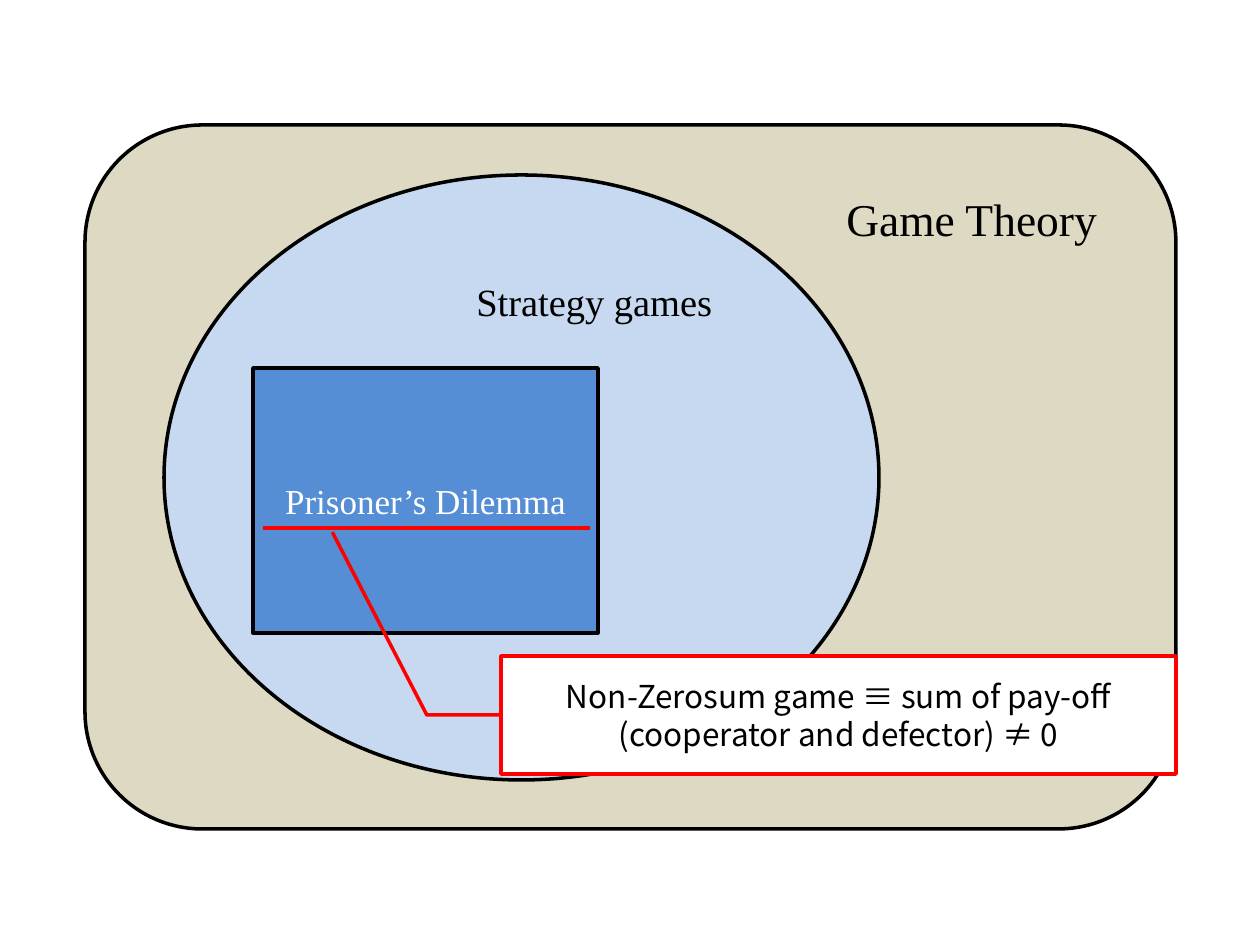
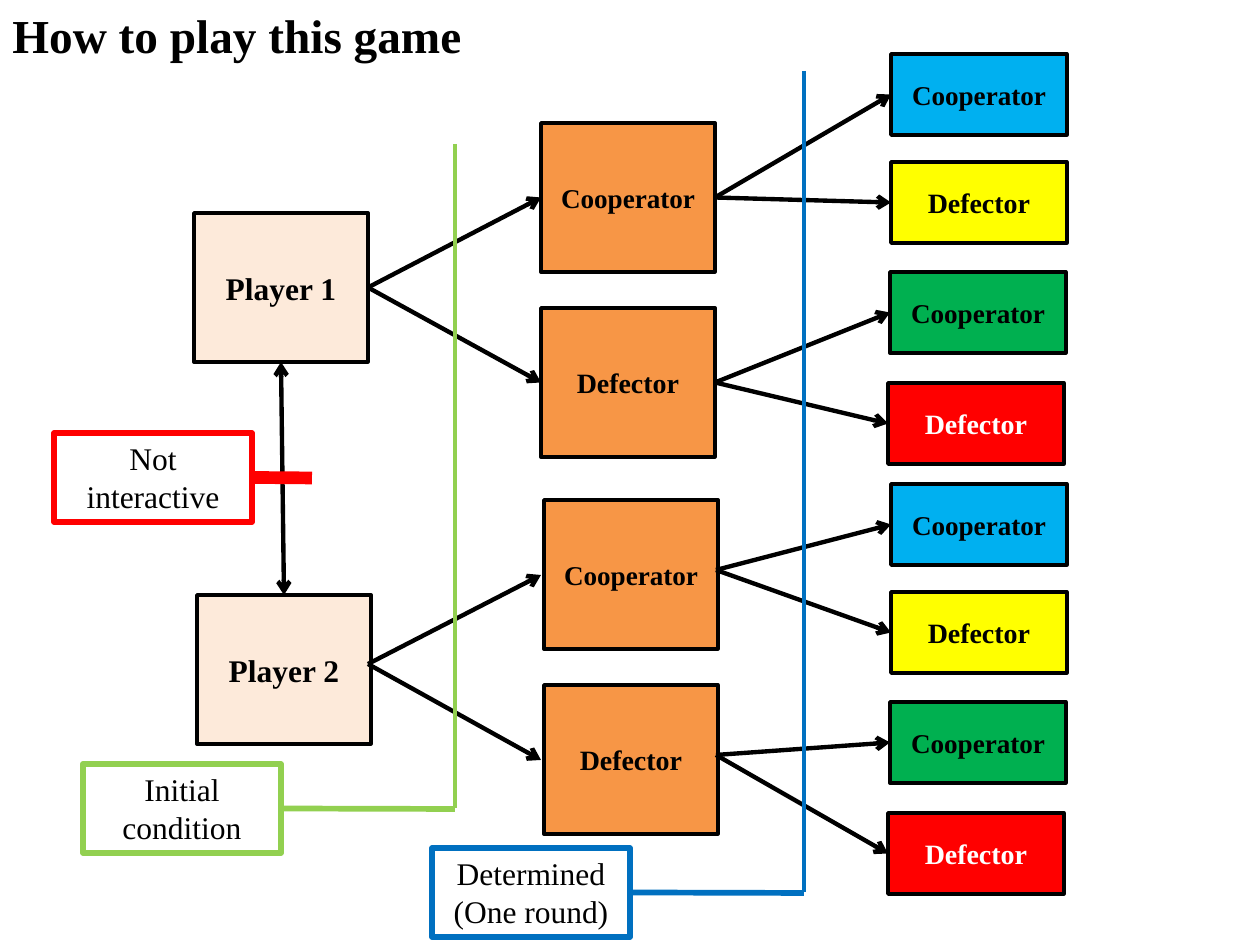
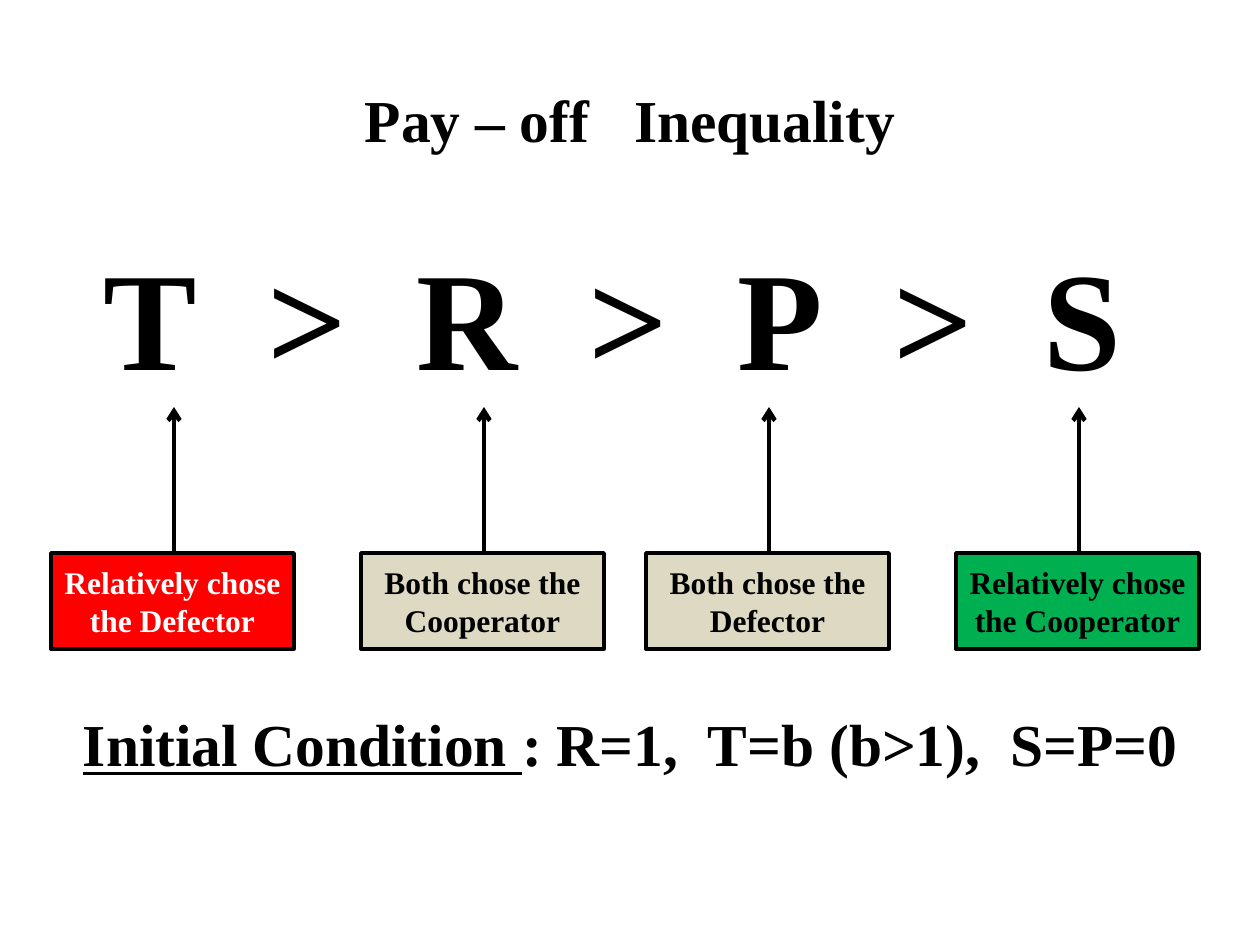
from lxml import etree
from pptx import Presentation
from pptx.dml.color import RGBColor
from pptx.enum import shapes, text
from pptx.oxml import ns
from pptx import util as u

PX = 914400 / 126
SERIF = "Times New Roman"
SANS = "Noto Sans CJK KR"
BLACK = RGBColor(0, 0, 0)
WHITE = RGBColor(255, 255, 255)
RED = RGBColor(255, 0, 0)
GREEN = RGBColor(0, 176, 80)
LIME = RGBColor(146, 208, 80)
SKY = RGBColor(0, 176, 240)
BLUE = RGBColor(0, 112, 192)
YELLOW = RGBColor(255, 255, 0)
ORANGE = RGBColor(247, 150, 70)
PEACH = RGBColor(253, 234, 218)
SAND = RGBColor(221, 217, 195)
PALE_BLUE = RGBColor(198, 217, 241)
MID_BLUE = RGBColor(85, 142, 213)
RECT = shapes.MSO_SHAPE.RECTANGLE
CENTER = text.PP_ALIGN.CENTER
LEFT = text.PP_ALIGN.LEFT


def box(slide, kind, at, label="", size=18, fill=None, edge=BLACK, width=2, ink=BLACK,
        bold=True, name=SERIF, align=CENTER, grow=False, gap=0):
    place = [round(n * PX) for n in at]
    if kind is None:
        shape = slide.shapes.add_textbox(*place)
    else:
        shape = slide.shapes.add_shape(kind, *place)
        shape.shadow.inherit = False
        shape.line.color.rgb = edge
        shape.line.width = u.Pt(width)
        if fill is None:
            shape.fill.background()
        else:
            shape.fill.solid()
            shape.fill.fore_color.rgb = fill
    if not label:
        return shape
    frame = shape.text_frame
    frame.word_wrap = True
    frame.vertical_anchor = text.MSO_ANCHOR.TOP if grow else text.MSO_ANCHOR.MIDDLE
    if grow:
        frame.auto_size = text.MSO_AUTO_SIZE.SHAPE_TO_FIT_TEXT
    frame.paragraphs[0].alignment = align
    for piece in label.split("|"):
        run = frame.paragraphs[0].add_run()
        run.text = piece
        for key, value in {"name": name, "size": u.Pt(size), "bold": bold}.items():
            setattr(run.font, key, value)
        run.font.color.rgb = ink
        if piece == " ":
            run.font._element.set("spc", str(gap))
    return shape


def link(slide, start, end, color=BLACK, width=2.5, arrows=("tailEnd",)):
    ends = [round(n * PX) for n in (*start, *end)]
    line = slide.shapes.add_connector(shapes.MSO_CONNECTOR.STRAIGHT, *ends)
    line.line.color.rgb = color
    line.line.width = u.Pt(width)
    properties = line._element.spPr
    for arrow in arrows:
        etree.SubElement(properties.find(ns.qn("a:ln")), ns.qn("a:" + arrow), type="arrow")
    etree.SubElement(properties, ns.qn("a:effectLst"))
    return line


deck = Presentation()
deck.slide_width = round(1260 * PX)
deck.slide_height = round(945 * PX)
theory, play, payoff = [deck.slides.add_slide(deck.slide_layouts[6]) for _ in range(3)]

box(theory, shapes.MSO_SHAPE.ROUNDED_RECTANGLE, (85, 125, 1091, 704), fill=SAND)
box(theory, shapes.MSO_SHAPE.OVAL, (164, 175, 715, 605), fill=PALE_BLUE)
box(theory, RECT, (253, 368, 345, 265), "Prisoner’s Dilemma", 20, MID_BLUE, ink=WHITE, bold=False)
box(theory, None, (464, 272, 369, 59), "Strategy games", 22, bold=False, align=LEFT, grow=True)
box(theory, None, (834, 185, 287, 68), "Game Theory", 26, bold=False, align=LEFT, grow=True)
link(theory, (263, 528), (590, 528), RED, arrows=())
nonzero = box(theory, shapes.MSO_SHAPE.LINE_CALLOUT_2, (501, 656, 675, 118),
              "Non-Zerosum game ≡ sum of pay-off (cooperator and defector) ≠ 0",
              fill=WHITE, edge=RED, bold=False, name=SANS)
for index, value in enumerate((0.5, 0, 0.5, -0.11, -1.05, -0.25)):
    nonzero.adjustments[index] = value

players = [box(play, RECT, (x, y, 174, 149), label, fill=PEACH)
           for x, y, label in ((194, 213, "Player 1"), (197, 595, "Player 2"))]
roles = (("Cooperator", 15.5), ("Defector", 16))
outcomes = ((891, 54, SKY, BLACK), (891, 162, YELLOW, BLACK),
            (890, 272, GREEN, BLACK), (888, 383, RED, WHITE))
for turn, player in enumerate(players):
    for pick, (role, size) in enumerate(roles):
        x, y = 541 + 3 * turn, 123 + 185 * pick + 377 * turn
        choice = box(play, RECT, (x, y, 174, 149), role, size, ORANGE)
        decision = link(play, (368, 287 + 377 * turn), (541, y + 75))
        if turn == 0:
            decision.begin_connect(player, 3)
            decision.end_connect(choice, 1)
        for reply, (left, top, fill, ink) in zip(roles, outcomes[2 * pick:2 * pick + 2]):
            outcome = box(play, RECT, (left, top + 430 * turn, 176, 81), *reply, fill, ink=ink)
            result = link(play, (x + 174 - 2 * turn, y + 75 - 5 * turn), (left, top + 40 + 430 * turn))
            result.end_connect(outcome, 1)
            if turn == 0:
                result.begin_connect(choice, 3)

contact = link(play, (281, 362), (284, 595), arrows=("headEnd", "tailEnd"))
contact.begin_connect(players[0], 2)
contact.end_connect(players[1], 0)
for label, left, top, color, reach, width in (
        ("Not interactive", 54, 433, RED, 312, 7.25),
        ("Initial condition", 83, 764, LIME, 455, 3.25),
        ("Determined (One round)", 432, 848, BLUE, 804, 3.25)):
    note = box(play, RECT, (left, top, 198, 89), label, edge=color, width=3.25, bold=False, grow=True)
    link(play, (reach, top + 45), (left + 198, top + 45), color, width, ()).end_connect(note, 3)
for x, top, bottom, color in ((455, 144, 808, LIME), (804, 71, 892, BLUE)):
    link(play, (x, top), (x, bottom), color, 2.75, ())
box(play, None, (0, 0, 764, 71), "How to play this game", 27, align=LEFT, grow=True)

box(payoff, None, (0, 224, 1260, 183), "T| |>| |R| |>| |P| |>| |S ", 80, grow=True, gap=2000)
for left, label, fill, ink in (
        (51, "Relatively chose the Defector", RED, WHITE),
        (361, "Both chose the Cooperator", SAND, BLACK),
        (646, "Both chose the Defector", SAND, BLACK),
        (956, "Relatively chose the Cooperator", GREEN, BLACK)):
    link(payoff, (left + 123, 645), (left + 123, 407))
    box(payoff, RECT, (left, 553, 243, 96), label, fill=fill, ink=ink)
box(payoff, None, (0, 77, 1260, 84), "Pay – off| |Inequality", 34, grow=True, gap=1700)
condition = box(payoff, None, (0, 701, 1260, 84),
                "Initial Condition |: R=1,| |T=b (b>1),| |S=P=0", 34, grow=True, gap=850)
condition.text_frame.paragraphs[0].runs[0].font.underline = True

deck.save("out.pptx")
